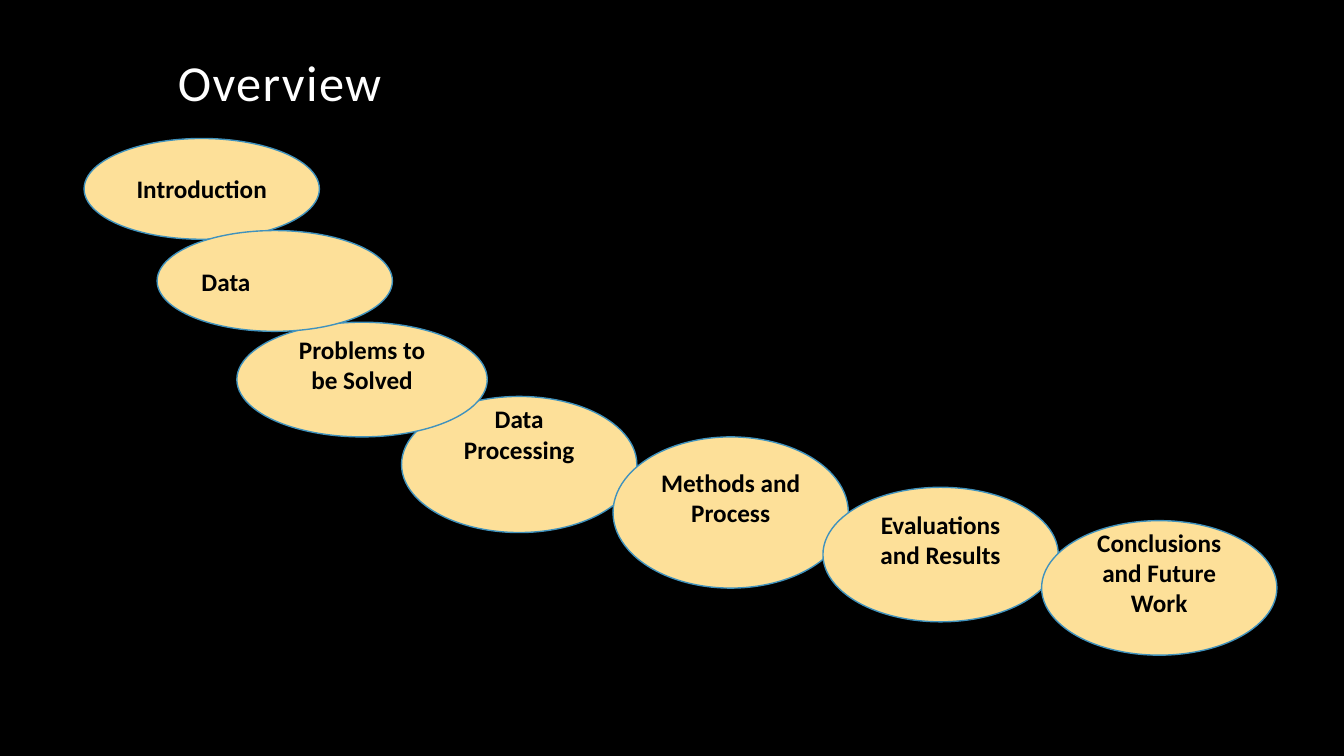
from dataclasses import dataclass

from pptx import Presentation
from pptx.dml.color import RGBColor
from pptx.enum.shapes import MSO_SHAPE
from pptx.enum.text import MSO_ANCHOR, MSO_AUTO_SIZE, PP_ALIGN
from pptx.util import Cm, Pt


@dataclass(frozen=True)
class Theme:
    background: RGBColor = RGBColor(0x00, 0x00, 0x00)
    title: RGBColor = RGBColor(0xFF, 0xFF, 0xFF)
    fill: RGBColor = RGBColor(0xFD, 0xE0, 0x99)
    outline: RGBColor = RGBColor(0x40, 0x92, 0xBD)
    label: RGBColor = RGBColor(0x00, 0x00, 0x00)
    font: str = "Calibri"
    title_size: Pt = Pt(36)
    label_size: Pt = Pt(18)


theme = Theme()
INSET = 0.13
LINE_HEIGHT = 0.77
WIDTH = 5.93

# Label, left, top, width, height, lines the text is raised by, alignment; back to front
TOPICS = [
    ("Introduction", 2.12, 3.49, WIDTH, 2.54, 0, PP_ALIGN.CENTER),
    ("Data Processing", 10.12, 9.99, WIDTH, 3.43, 2, PP_ALIGN.CENTER),
    ("Methods and Process", 15.45, 11.01, WIDTH, 3.81, 1, PP_ALIGN.CENTER),
    ("Evaluations and Results", 20.74, 12.28, WIDTH, 3.39, 1, PP_ALIGN.CENTER),
    ("Conclusions and Future Work", 26.25, 13.12, WIDTH, 3.39, 1, PP_ALIGN.CENTER),
    ("Problems to be Solved", 5.97, 8.12, 6.31, 2.89, 1, PP_ALIGN.CENTER),
    ("Data", 3.96, 5.81, WIDTH, 2.54, 0, PP_ALIGN.LEFT),
]


def format_span(span, size, color, bold):
    span.font.name = theme.font
    span.font.size = size
    span.font.bold = bold
    span.font.color.rgb = color


deck = Presentation()
deck.slide_width, deck.slide_height = Cm(33.87), Cm(19.05)
page = deck.slides.add_slide(deck.slide_layouts[5])
page.background.fill.solid()
page.background.fill.fore_color.rgb = theme.background

title = page.shapes.title
title.left, title.top, title.width, title.height = Cm(4.23), Cm(1.07), Cm(25.4), Cm(1.9)
title.text_frame.text = "Overview"
title.text_frame.auto_size = MSO_AUTO_SIZE.NONE
title.text_frame.vertical_anchor = MSO_ANCHOR.BOTTOM
para = title.text_frame.paragraphs[0]
para.alignment = PP_ALIGN.LEFT
para.line_spacing = 0.9
span = para.runs[0]
format_span(span, theme.title_size, theme.title, False)
span.font._element.set("spc", "100")

for label, left, top, width, height, raised_lines, alignment in TOPICS:
    topic = page.shapes.add_shape(MSO_SHAPE.OVAL, Cm(left), Cm(top), Cm(width), Cm(height))
    topic.shadow.inherit = False
    topic.fill.solid()
    topic.fill.fore_color.rgb = theme.fill
    topic.line.color.rgb = theme.outline
    topic.line.width = Pt(1)
    frame = topic.text_frame
    frame.text = label
    frame.word_wrap = True
    frame.vertical_anchor = MSO_ANCHOR.MIDDLE
    frame.margin_top = Cm(INSET)
    frame.margin_bottom = Cm(INSET + raised_lines * LINE_HEIGHT)
    para = frame.paragraphs[0]
    para.alignment = alignment
    format_span(para.runs[0], theme.label_size, theme.label, True)

deck.save("out.pptx")
